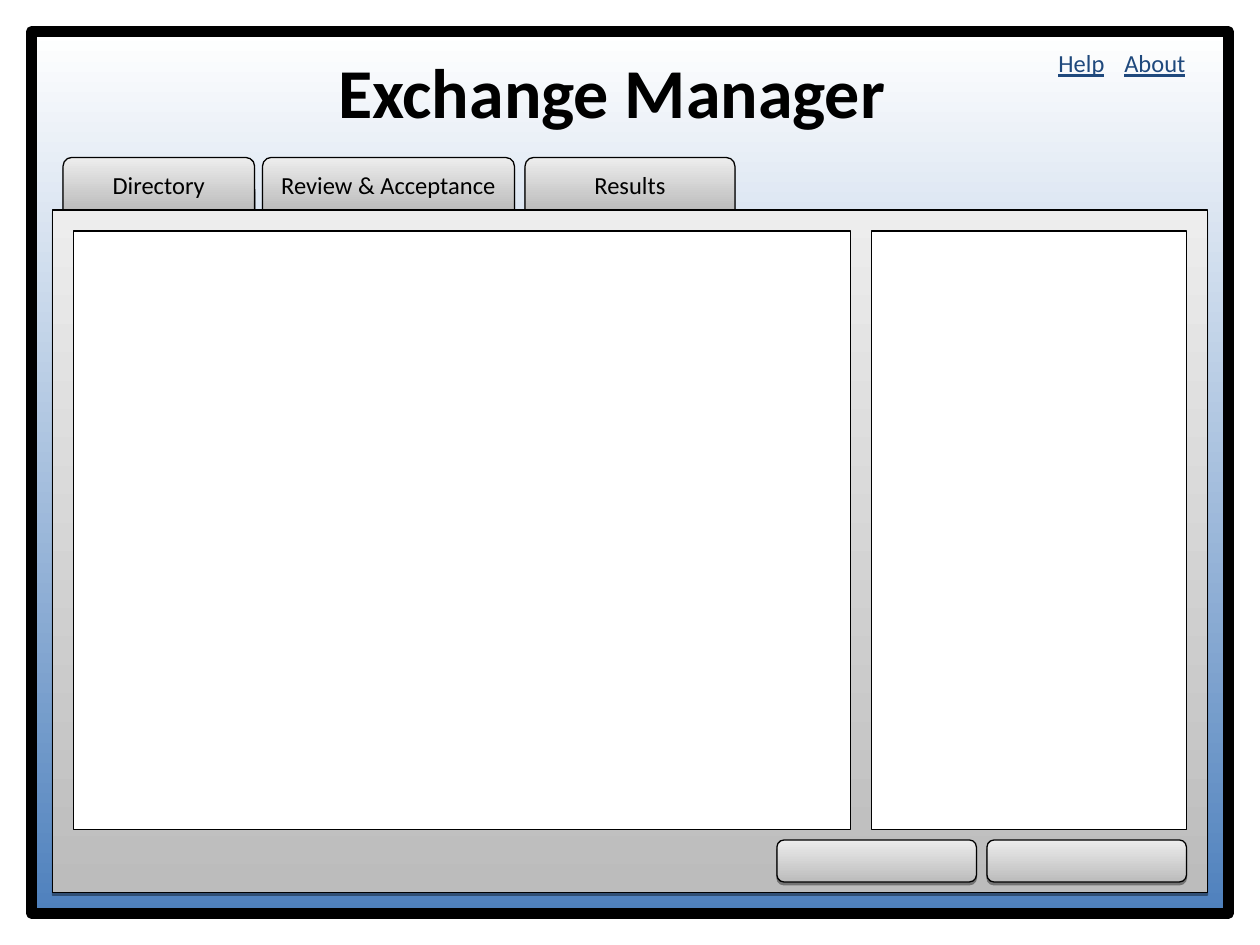
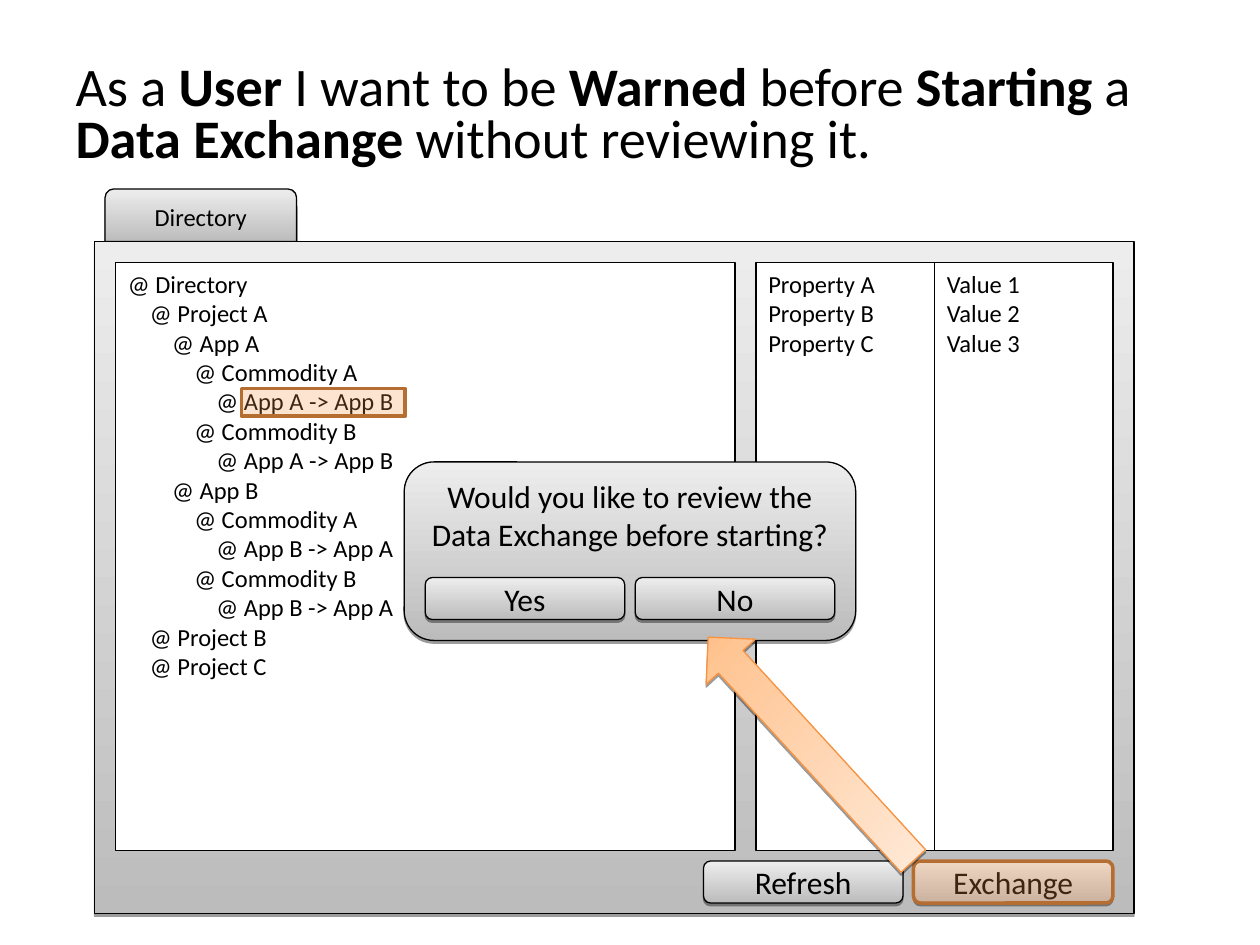
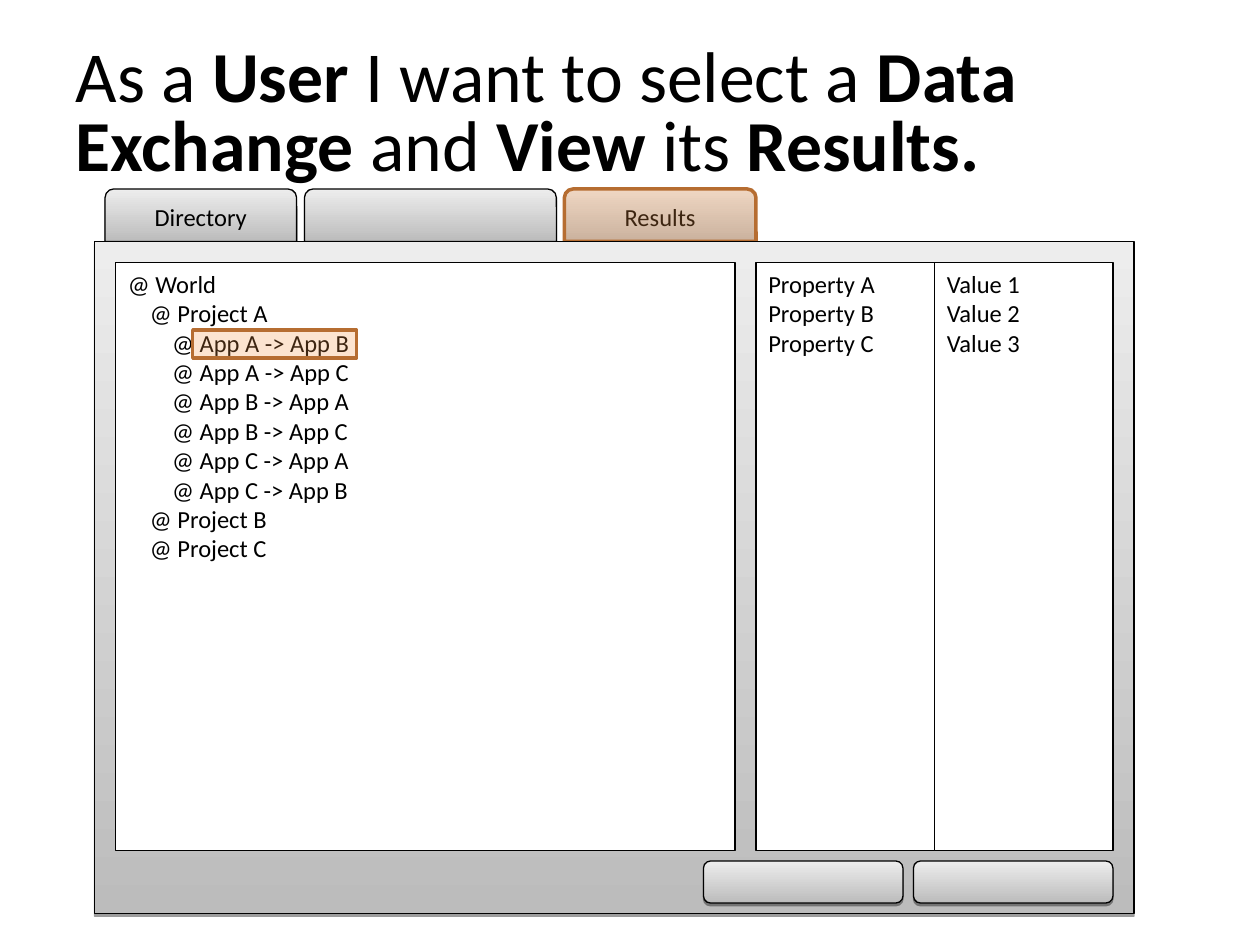
import dataclasses

import lxml.etree
import pptx
import pptx.dml.color
import pptx.enum.dml
import pptx.enum.shapes
import pptx.enum.text
import pptx.oxml.ns
import pptx.util

SHAPES = pptx.enum.shapes.MSO_SHAPE
ALIGN = pptx.enum.text.PP_ALIGN
ANCHOR = pptx.enum.text.MSO_ANCHOR


@dataclasses.dataclass(frozen=True)
class Theme:
    font: str = "Calibri"
    ink: str = "000000"
    link: str = "1F497D"
    accent: str = "F79646"
    accent_line: str = "B66D31"
    arrow_line: str = "F69240"
    white: str = "FFFFFF"
    metal: tuple = ("BCBCBC", "EDEDED", 90)
    sky: tuple = ("FFFFFF", "4F81BD", 270)
    glow: tuple = ("FFBE86", "FFEBDB", 318)
    body_size: int = 14
    button_size: int = 18
    heading_size: int = 40
    tree_indent: float = 12.65


theme = Theme()
color = pptx.dml.color.RGBColor.from_string
qn = pptx.oxml.ns.qn

presentation = pptx.Presentation()
presentation.slide_width = pptx.util.Inches(10)
presentation.slide_height = pptx.util.Inches(7.5)
title_only = presentation.slide_layouts[5]

# The slide is a grid of 120 columns and 90 rows
UNIT = presentation.slide_width / 120
TAB_HEIGHT = 5
BUTTON = (19, 4)
BUTTON_STEP = 20


def write(shape, text, size=theme.body_size, ink=theme.ink, align=ALIGN.LEFT,
          anchor=ANCHOR.TOP, spacing=None, underline=None, bold=False):
    """Each line is a paragraph, leading tabs indent it, ** switches bold."""
    frame = shape.text_frame
    frame.word_wrap = True
    frame.auto_size = pptx.enum.text.MSO_AUTO_SIZE.NONE
    frame.vertical_anchor = anchor
    for number, line in enumerate(text.split("\n")):
        paragraph = frame.add_paragraph() if number else frame.paragraphs[0]
        paragraph.alignment = align
        paragraph.line_spacing = spacing
        content = line.lstrip("\t")
        level = len(line) - len(content)
        if level:
            indent = pptx.util.Pt(level * theme.tree_indent)
            paragraph._p.get_or_add_pPr().set("marL", str(indent))
        for index, part in enumerate(content.split("**")):
            if part:
                run = paragraph.add_run()
                run.text = part
                run.font.name = theme.font
                run.font.size = pptx.util.Pt(size)
                run.font.color.rgb = color(ink)
                run.font.bold = bold or index % 2 == 1
                run.font.underline = underline


def add_box(slide, kind, left, top, width, height, fill=theme.metal,
            line=theme.ink, weight=0.75, shadow=True, opacity=None):
    """Place a shape on the grid; a tuple as fill is a gradient."""
    shape = slide.shapes.add_shape(
        kind, *(round(length * UNIT) for length in (left, top, width, height)))
    if isinstance(fill, tuple):
        shape.fill.gradient()
        shape.fill.gradient_angle = fill[2]
        for stop, stop_color in zip(shape.fill.gradient_stops, fill):
            stop.color.rgb = color(stop_color)
    else:
        shape.fill.solid()
        shape.fill.fore_color.rgb = color(fill)
    if opacity:
        solid = shape.element.spPr.find(qn("a:solidFill"))
        lxml.etree.SubElement(solid[0], qn("a:alpha"), val=str(opacity * 1000))
    shape.line.color.rgb = color(line)
    shape.line.width = pptx.util.Pt(weight)
    shape.shadow.inherit = False
    if shadow:
        effects = shape.element.spPr.find(qn("a:effectLst"))
        outer = lxml.etree.SubElement(
            effects, qn("a:outerShdw"), blurRad="0", dist=str(pptx.util.Pt(1.6)),
            dir="5400000", rotWithShape="0")
        black = lxml.etree.SubElement(outer, qn("a:srgbClr"), val=theme.ink)
        lxml.etree.SubElement(black, qn("a:alpha"), val="38000")
    return shape


centered = dict(align=ALIGN.CENTER, anchor=ANCHOR.MIDDLE)
button_text = dict(size=theme.button_size, **centered)
pane = dict(fill=theme.white, weight=1, shadow=False)
highlight = dict(fill=theme.accent, line=theme.accent_line, weight=2,
                 shadow=False, opacity=25)

# Slide 1: empty application window
slide = presentation.slides.add_slide(title_only)
title = slide.shapes.title
title.left, title.top, title.width, title.height = (
    round(length * UNIT) for length in (31, 4, 65, 9.2))
write(title, "Exchange Manager", size=theme.heading_size, bold=True)
window = add_box(slide, SHAPES.RECTANGLE, 3, 3, 114, 84, fill=theme.sky,
                 weight=6, shadow=False)
title.element.addprevious(window.element)

for label, left, width in (("Directory", 6, 18.25),
                           ("Review & Acceptance", 25, 24), ("Results", 50, 20)):
    tab = add_box(slide, SHAPES.ROUND_2_SAME_RECTANGLE, left, 15, width, TAB_HEIGHT)
    write(tab, label, **centered)

for label, left in (("Help", 97), ("About", 104)):
    link = slide.shapes.add_textbox(
        *(round(length * UNIT) for length in (left, 4, 12, 4)))
    write(link, label, ink=theme.link, align=ALIGN.CENTER, underline=True)

add_box(slide, SHAPES.RECTANGLE, 5, 20, 110, 65)
for left, width in ((7, 74), (83, 30)):
    add_box(slide, SHAPES.RECTANGLE, left, 22, width, 57, **pane)
for column in range(2):
    add_box(slide, SHAPES.ROUNDED_RECTANGLE, 74 + column * BUTTON_STEP, 80, *BUTTON)

# Slides 2 and 3: a story above the directory window
DIRECTORY_TREE = """@ Directory
\t@ Project A
\t\t@ App A
\t\t\t@ Commodity A
\t\t\t\t@ App A -> App B
\t\t\t@ Commodity B
\t\t\t\t@ App A -> App B
\t\t@ App B
\t\t\t@ Commodity A
\t\t\t\t@ App B -> App A
\t\t\t@ Commodity B
\t\t\t\t@ App B -> App A
\t@ Project B
\t@ Project C"""
RESULTS_TREE = """@ World
\t@ Project A
\t\t@ App A -> App B
\t\t@ App A -> App C
\t\t@ App B -> App A
\t\t@ App B -> App C
\t\t@ App C -> App A
\t\t@ App C -> App B
\t@ Project B
\t@ Project C"""

stories = (
    dict(title="As a **User** I want to be **Warned** before **Starting** a "
               "**Data Exchange **without reviewing it.",
         size=31, tree=DIRECTORY_TREE, selection=(23, 37),
         tabs=(("Directory", 10, 18.25),), buttons=("Refresh", "Exchange")),
    dict(title="As a **User** I want to select a **Data Exchange **and **View **its "
               "**Results.**",
         size=41, tree=RESULTS_TREE, selection=(18.36, 31.44),
         tabs=(("Directory", 10, 18.25), ("", 29, 24), ("Results", 53.75, 18.25)),
         buttons=("", "")),
)
for story in stories:
    slide = presentation.slides.add_slide(title_only)
    title = slide.shapes.title
    title.left, title.top, title.width, title.height = (
        round(length * UNIT) for length in (6, 3.6, 108, 15))
    write(title, story["title"], size=story["size"], anchor=ANCHOR.MIDDLE, spacing=0.8)

    # Tabs, with the results tab marked
    for label, left, width in story["tabs"]:
        place = (SHAPES.ROUND_2_SAME_RECTANGLE, left, 18, width, TAB_HEIGHT)
        write(add_box(slide, *place), label, **centered)
        if label == "Results":
            add_box(slide, *place, **highlight)

    # Window with tree and properties
    add_box(slide, SHAPES.RECTANGLE, 9, 23, 99, 64)
    for text, left, width in ((story["tree"], 11, 59),
                              ("Property A\nProperty B\nProperty C", 72, 17),
                              ("Value 1\nValue 2\nValue 3", 89, 17)):
        write(add_box(slide, SHAPES.RECTANGLE, left, 25, width, 56, **pane), text)
    add_box(slide, SHAPES.RECTANGLE, *story["selection"], 15.6, 2.64, **highlight)

    for column, label in enumerate(story["buttons"]):
        place = (SHAPES.ROUNDED_RECTANGLE, 67 + column * BUTTON_STEP, 82, *BUTTON)
        write(add_box(slide, *place), label, **button_text)
        if label == "Exchange":
            add_box(slide, *place, **highlight)

# Slide 2: warning dialog and the arrow that leads to it
slide = presentation.slides[1]
dialog = add_box(slide, SHAPES.ROUNDED_RECTANGLE, 38.5, 44, 43, 17)
write(dialog, "Would you like to review the Data Exchange before starting?",
      size=theme.button_size, align=ALIGN.CENTER)
for column, label in enumerate(("Yes", "No")):
    button = add_box(slide, SHAPES.ROUNDED_RECTANGLE,
                     40.5 + column * BUTTON_STEP, 55, *BUTTON)
    write(button, label, **button_text)
arrow = add_box(slide, SHAPES.RIGHT_ARROW, 62.76, 68.16, 28.92, 6.36,
                fill=theme.glow, line=theme.arrow_line)
arrow.rotation = 227.5
arrow.element.spPr.find(qn("a:gradFill")).set("rotWithShape", "0")

presentation.save("out.pptx")
